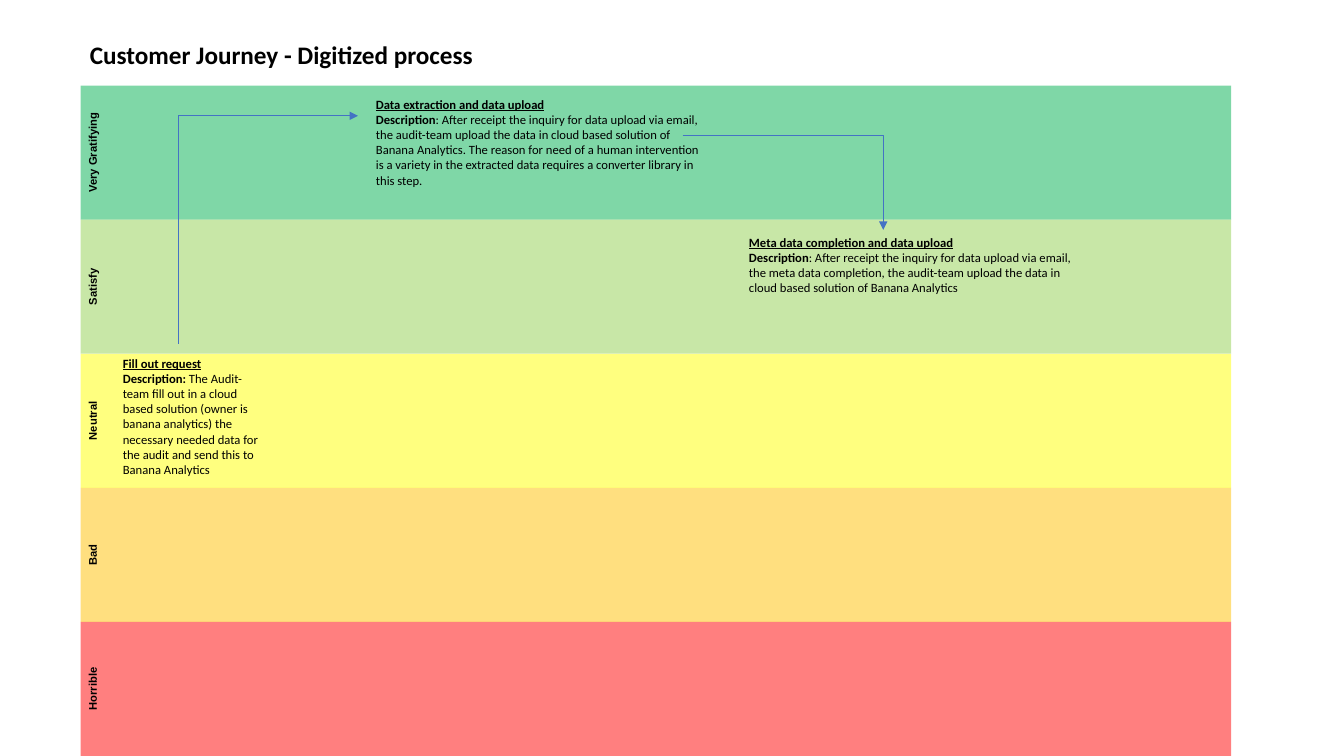
"""Build the customer journey slide: five satisfaction bands with three linked process steps."""
from dataclasses import dataclass

from lxml import etree
from pptx import Presentation
from pptx.dml.color import RGBColor
from pptx.enum.shapes import MSO_CONNECTOR, MSO_SHAPE
from pptx.enum.text import MSO_ANCHOR, MSO_AUTO_SIZE, PP_ALIGN
from pptx.oxml.ns import qn
from pptx.util import Inches, Pt


@dataclass(frozen=True)
class Theme:
    text: RGBColor = RGBColor(0x00, 0x00, 0x00)
    arrow: RGBColor = RGBColor(0x44, 0x72, 0xC4)
    band_alpha: str = "50000"
    title_size: Pt = Pt(18)
    step_size: Pt = Pt(9)
    label_size: Pt = Pt(8)
    arrow_width: Pt = Pt(0.5)
    body_font: str = "Calibri"
    label_font: str = "Arial"


THEME = Theme()
BAND_LEFT, BAND_TOP, BAND_WIDTH, BAND_HEIGHT = 0.8, 0.85, 11.41, 1.33
BANDS = [
    ("Very Gratifying", "00B050"),
    ("Satisfy", "92D050"),
    ("Neutral", "FFFF00"),
    ("Bad", "FFC000"),
    ("Horrible", "FF0000"),
]
STEPS = [
    ((1.12, 3.48, 1.58, 1.62), "Fill out request", "Description: ",
     "The Audit-team fill out in a cloud based solution (owner is banana analytics) "
     "the necessary needed data for the audit and send this to Banana Analytics"),
    ((3.63, 0.91, 3.48, 1.01), "Data extraction and data upload", "Description",
     ": After receipt the inquiry for data upload via email, the audit-team upload the data "
     "in cloud based solution of Banana Analytics. The reason for need of a human intervention "
     "is a variety in the extracted data requires a converter library in this step."),
    ((7.33, 2.28, 3.48, 0.71), "Meta data completion and data upload", "Description",
     ": After receipt the inquiry for data upload via email, the meta data completion, "
     "the audit-team upload the data in cloud based solution of Banana Analytics"),
]
ARROWS = [
    ((3.79, 3.17), (1.53, 1.39), 90),
    ((6.77, 1.34), (8.76, 2.28), 0),
]


def add_run(paragraph, text, size, font_name, bold=True, underline=False):
    """Append one formatted run to a paragraph."""
    run = paragraph.add_run()
    run.text = text
    run.font.size = size
    run.font.name = font_name
    run.font.bold = bold
    run.font.underline = underline
    run.font.color.rgb = THEME.text


presentation = Presentation()
presentation.slide_width = Inches(13.33)
presentation.slide_height = Inches(7.5)
slide = presentation.slides.add_slide(presentation.slide_layouts[5])

title = slide.shapes.title
title.left, title.top, title.width, title.height = map(Inches, (0.79, 0.34, 4.03, 0.4))
title.text_frame.word_wrap = False
title.text_frame.auto_size = MSO_AUTO_SIZE.NONE
title.text_frame.vertical_anchor = MSO_ANCHOR.TOP
title_paragraph = title.text_frame.paragraphs[0]
title_paragraph.alignment = PP_ALIGN.LEFT
add_run(title_paragraph, "Customer Journey - Digitized process", THEME.title_size, THEME.body_font)

for index, (name, color) in enumerate(BANDS):
    top = Inches(BAND_TOP + index * BAND_HEIGHT)
    band = slide.shapes.add_shape(
        MSO_SHAPE.RECTANGLE, Inches(BAND_LEFT), top, Inches(BAND_WIDTH), Inches(BAND_HEIGHT))
    band.shadow.inherit = False
    band.line.fill.background()
    band.fill.solid()
    band.fill.fore_color.rgb = RGBColor.from_string(color)
    fill_color = band._element.spPr.find(qn("a:solidFill"))[0]
    etree.SubElement(fill_color, qn("a:alpha"), val=THEME.band_alpha)

    label = slide.shapes.add_textbox(Inches(BAND_LEFT), top, Inches(0.34), Inches(BAND_HEIGHT))
    label.text_frame.word_wrap = True
    label.text_frame._txBody.bodyPr.set("vert", "vert270")
    label_paragraph = label.text_frame.paragraphs[0]
    label_paragraph.alignment = PP_ALIGN.CENTER
    add_run(label_paragraph, name, THEME.label_size, THEME.label_font)

for box, heading, lead, description in STEPS:
    step = slide.shapes.add_textbox(*map(Inches, box))
    step.text_frame.word_wrap = True
    add_run(step.text_frame.paragraphs[0], heading, THEME.step_size, THEME.body_font, underline=True)
    body = step.text_frame.add_paragraph()
    add_run(body, lead, THEME.step_size, THEME.body_font)
    add_run(body, description, THEME.step_size, THEME.body_font, bold=False)

for begin, end, rotation in ARROWS:
    arrow = slide.shapes.add_connector(MSO_CONNECTOR.ELBOW, *map(Inches, begin + end))
    arrow.line.color.rgb = THEME.arrow
    arrow.line.width = THEME.arrow_width
    properties = arrow._element.spPr
    properties.find(qn("a:xfrm")).set("rot", str(rotation * 60000))
    adjustments = properties.find(qn("a:prstGeom")).find(qn("a:avLst"))
    etree.SubElement(adjustments, qn("a:gd"), name="adj1", fmla="val 100000")
    etree.SubElement(properties.find(qn("a:ln")), qn("a:tailEnd"), type="triangle")
    etree.SubElement(properties, qn("a:effectLst"))

presentation.save("out.pptx")
